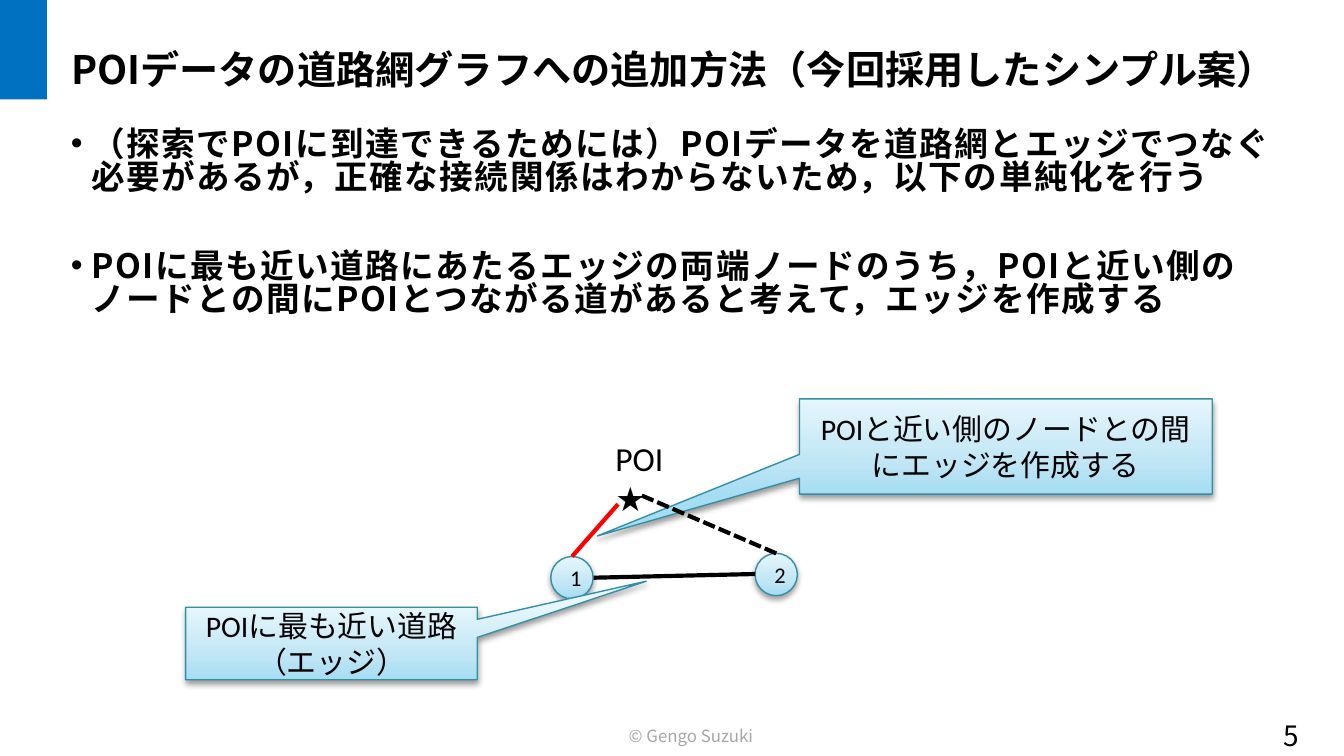
from lxml import etree
from pptx import Presentation
from pptx.dml.color import RGBColor
from pptx.enum import dml, shapes, text
from pptx.oxml import ns, parse_xml
from pptx.util import Cm, Pt

SANS, LATIN = "Noto Sans CJK JP", "Calibri"
LEFT, CENTER = text.PP_ALIGN.LEFT, text.PP_ALIGN.CENTER
TOP, MIDDLE, BOTTOM = text.MSO_ANCHOR.TOP, text.MSO_ANCHOR.MIDDLE, text.MSO_ANCHOR.BOTTOM

TITLE = "POIデータの道路網グラフへの追加方法（今回採用したシンプル案）"
POINTS = [
    "（探索でPOIに到達できるためには）POIデータを道路網とエッジでつなぐ必要があるが，"
    "正確な接続関係はわからないため，以下の単純化を行う",
    "POIに最も近い道路にあたるエッジの両端ノードのうち，POIと近い側のノードとの間に"
    "POIとつながる道があると考えて，エッジを作成する",
]
# Boxes are left, top, width, height in cm
NODES = [("1", (10.41, 10.52, 0.8, 0.8)), ("2", (14.27, 10.46, 0.8, 0.8))]
CALLOUTS = [
    ("POIに最も近い道路（エッジ）", (3.51, 11.48, 5.51, 1.37), (1.08, -0.86)),
    ("POIと近い側のノードとの間にエッジを作成する", (15.11, 7.54, 7.8, 1.8), (-0.99, 0.94)),
]
GRADIENT = [(0, "A5DDF3"), (35, "C1E6F5"), (100, "E6F6FC")]


def rgb(value):
    return RGBColor.from_string(value)


def lengths(values):
    return [Cm(v) for v in values]


def write(tf, lines, size=18, font=LATIN, color="000000", bold=False,
          align=LEFT, anchor=TOP, wrap=True):
    """Fill a text frame, one paragraph per line."""
    tf.word_wrap, tf.vertical_anchor = wrap, anchor
    for i, line in enumerate(lines):
        p = tf.add_paragraph() if i else tf.paragraphs[0]
        p.alignment = align
        r = p.add_run()
        r.text = line
        f = r.font
        f.size, f.name, f.bold = Pt(size), font, bold
        f.color.rgb = rgb(color)
        etree.SubElement(r._r.get_or_add_rPr(), ns.qn("a:ea"), typeface=SANS)


def add_text(box, lines, **fmt):
    tb = s.shapes.add_textbox(*lengths(box))
    write(tb.text_frame, lines, **fmt)
    return tb


def add_bullets(tf, indent, gap):
    for i, p in enumerate(tf.paragraphs):
        p.line_spacing = 0.82
        p.space_before = Pt(gap if i else 0)
        pPr = p._p.get_or_add_pPr()
        pPr.set("marL", str(Cm(indent)))
        pPr.set("indent", str(-Cm(indent)))
        etree.SubElement(pPr, ns.qn("a:buFont"), typeface="Arial")
        etree.SubElement(pPr, ns.qn("a:buChar"), char="•")
        for r in p.runs:
            r._r.get_or_add_rPr().set("spc", "80")


def add_glossy(kind, box, label, **fmt):
    """Add a shape with the light blue gradient and soft shadow."""
    sp = s.shapes.add_shape(kind, *lengths(box))
    sp.line.color.rgb, sp.line.width = rgb("348FA6"), Pt(0.75)
    sp.shadow.inherit = False
    sp.fill.gradient()
    stops = "".join(f'<a:gs pos="{pos * 1000}"><a:srgbClr val="{c}"/></a:gs>'
                    for pos, c in GRADIENT)
    spPr = sp._element.spPr
    spPr.replace(spPr.find(ns.qn("a:gradFill")), parse_xml(
        f'<a:gradFill {ns.nsdecls("a")} rotWithShape="1"><a:gsLst>{stops}</a:gsLst>'
        '<a:lin ang="16200000" scaled="0"/></a:gradFill>'))
    spPr.find(ns.qn("a:effectLst")).append(parse_xml(
        f'<a:outerShdw {ns.nsdecls("a")} blurRad="40000" dist="20000" dir="5400000" '
        'rotWithShape="0"><a:srgbClr val="000000"><a:alpha val="38000"/></a:srgbClr>'
        '</a:outerShdw>'))
    write(sp.text_frame, [label], anchor=MIDDLE, **fmt)
    return sp


def add_edge(start, end, color="000000", dash=None, node=None):
    """Draw an edge, starting at the top of a node if one is given."""
    c = s.shapes.add_connector(shapes.MSO_CONNECTOR.STRAIGHT, *lengths(start + end))
    if node is not None:
        c.begin_connect(node, 0)
    c.line.color.rgb, c.line.width = rgb(color), Pt(2.25)
    if dash:
        c.line.dash_style = dash
    etree.SubElement(c._element.spPr, ns.qn("a:effectLst"))


prs = Presentation()
prs.slide_width, prs.slide_height = Cm(25.4), Cm(14.29)
s = prs.slides.add_slide(prs.slide_layouts[5])

title = s.shapes.title
title.left, title.top, title.width, title.height = lengths((1.09, 0.25, 24, 1.63))
write(title.text_frame, [TITLE], size=21, font=SANS, bold=True, anchor=BOTTOM)

add_text((23.7, 13.59, 1.4, 0.61), ["5"], size=15, font=SANS,
         align=CENTER, anchor=MIDDLE, wrap=False)
add_text((11.43, 13.59, 3.18, 0.64), [" © Gengo Suzuki"], size=9, font=SANS,
         color="A6A6A6", align=CENTER, wrap=False)

accent = s.shapes.add_shape(shapes.MSO_SHAPE.RECTANGLE, *lengths((0, 0, 0.89, 1.88)))
accent.fill.solid()
accent.fill.fore_color.rgb = rgb("0070C0")
accent.line.fill.background()
accent.shadow.inherit = False

body = add_text((1.09, 2.34, 23.19, 6.22), POINTS, font=SANS, bold=True)
add_bullets(body.text_frame, indent=0.39, gap=29.5)

near, far = [add_glossy(shapes.MSO_SHAPE.OVAL, box, label, size=12) for label, box in NODES]
add_edge((11.22, 10.92), (14.27, 10.85))
add_text((11.38, 8.15, 1.42, 1.8), ["POI", "★"], wrap=False)
add_edge((10.81, 10.52), (11.68, 9.53), color="FF0000", node=near)

for label, box, tip in CALLOUTS:
    callout = add_glossy(shapes.MSO_SHAPE.RECTANGULAR_CALLOUT, box, label, size=16, align=CENTER)
    callout.adjustments[0], callout.adjustments[1] = tip

add_edge((14.67, 10.46), (12.09, 9.35), dash=dml.MSO_LINE.SQUARE_DOT, node=far)

prs.save("out.pptx")
